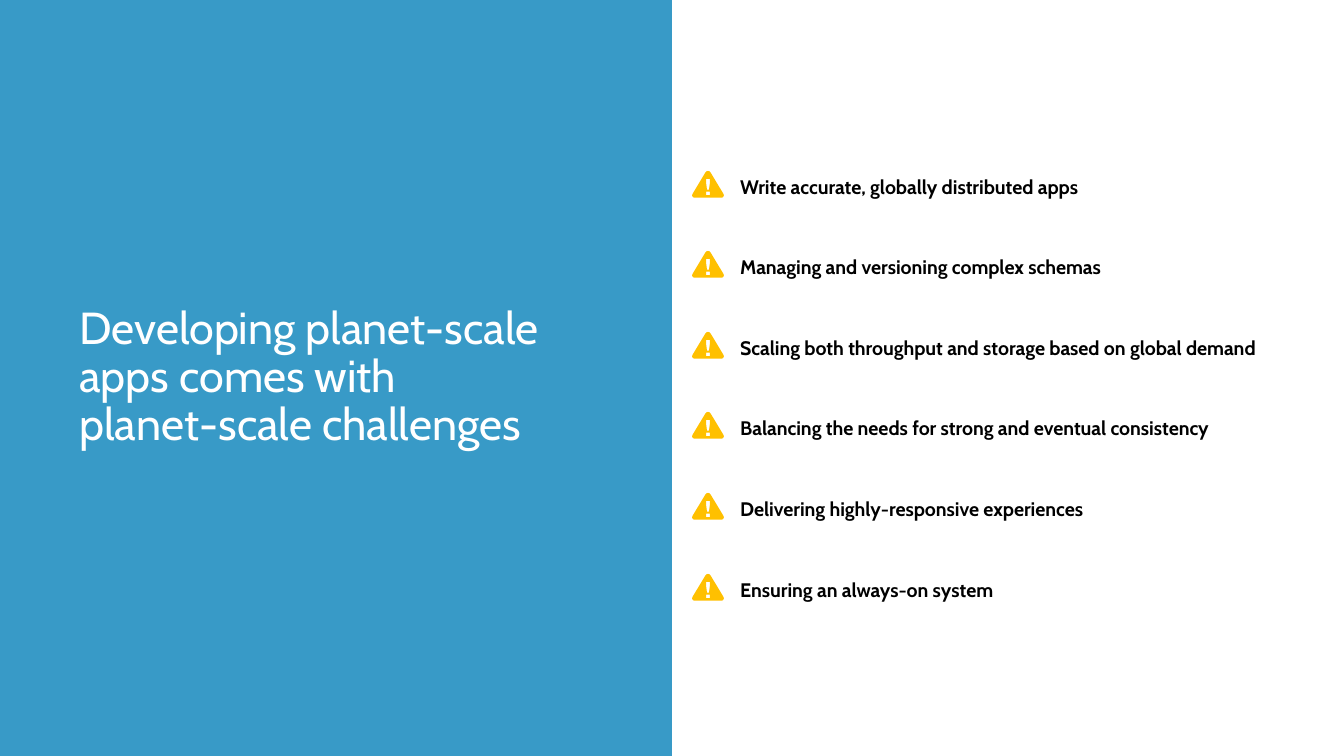
import copy

import pptx
import pptx.dml.color
import pptx.enum.shapes
import pptx.enum.text
import pptx.oxml.ns
import pptx.util

SCALE = 914400 / 134.4
BLUE = "389AC7"
AMBER = "FFC000"
WHITE = "FFFFFF"
BLACK = "000000"


def paint(color_holder, color):
    color_holder.rgb = pptx.dml.color.RGBColor.from_string(color)


def write_text(shape, text, size, color, bold=False, line_spacing=1.0,
               anchor=pptx.enum.text.MSO_ANCHOR.TOP,
               auto_size=pptx.enum.text.MSO_AUTO_SIZE.NONE):
    frame = shape.text_frame
    frame.word_wrap = True
    frame.auto_size = auto_size
    frame.vertical_anchor = anchor
    frame.text = text
    paragraph = frame.paragraphs[0]
    paragraph.alignment = pptx.enum.text.PP_ALIGN.LEFT
    paragraph.line_spacing = line_spacing
    for run in paragraph.runs:
        run.font.name = "Cabin"
        run.font.size = pptx.util.Pt(size)
        run.font.bold = bold
        paint(run.font.color, color)
    for line_break in paragraph._p.findall(pptx.oxml.ns.qn("a:br")):
        line_break.append(copy.deepcopy(paragraph.runs[0]._r.rPr))


presentation = pptx.Presentation()
presentation.slide_width = round(1344 * SCALE)
presentation.slide_height = round(756 * SCALE)
slide = presentation.slides.add_slide(presentation.slide_layouts[5])

panel = slide.shapes.add_shape(
    pptx.enum.shapes.MSO_SHAPE.RECTANGLE, 0, 0, round(672 * SCALE), round(756 * SCALE))
panel.shadow.inherit = False
panel.fill.solid()
paint(panel.fill.fore_color, BLUE)
panel.line.fill.background()
slide.shapes._spTree.insert(2, panel._element)

title = slide.shapes.title
title.left, title.top, title.width, title.height = [
    round(length * SCALE) for length in (66, 220, 559, 316)]
write_text(title, "Developing planet-scale apps comes with \vplanet-scale challenges",
           size=24, color=WHITE, line_spacing=0.9,
           anchor=pptx.enum.text.MSO_ANCHOR.MIDDLE)

triangle = [
    (313, 227), (185, 14), (173, 3), (160, 0), (147, 3), (135, 14), (7, 227), (2, 240),
    (3, 253), (12, 264), (27, 268), (293, 268), (308, 264), (317, 253), (318, 240)]
exclamation_bar = [(141, 80), (179, 80), (179, 118), (170, 187), (150, 187), (141, 118)]
exclamation_dot = [(142, 208), (178, 208), (178, 242), (142, 242)]

challenges = [
    "Write accurate, globally distributed apps",
    "Managing and versioning complex schemas",
    "Scaling both throughput and storage based on global demand",
    "Balancing the needs for strong and eventual consistency",
    "Delivering highly-responsive experiences",
    "Ensuring an always-on system",
]

for row, challenge in enumerate(challenges):
    top = 168 + row * 403 // 5

    builder = slide.shapes.build_freeform(*triangle[0], scale=SCALE / 10)
    builder.add_line_segments(triangle[1:])
    for outline in (exclamation_bar, exclamation_dot):
        builder.move_to(*outline[0])
        builder.add_line_segments(outline[1:])
    warning = builder.convert_to_shape(round(692 * SCALE), round((top + 3) * SCALE))
    warning.shadow.inherit = False
    warning.fill.solid()
    paint(warning.fill.fore_color, AMBER)
    warning.line.fill.background()

    label = slide.shapes.add_textbox(
        round(727 * SCALE), round(top * SCALE), round(602 * SCALE), round(37 * SCALE))
    write_text(label, challenge, size=10.5, color=BLACK, bold=True,
               auto_size=pptx.enum.text.MSO_AUTO_SIZE.SHAPE_TO_FIT_TEXT)

presentation.save("out.pptx")
